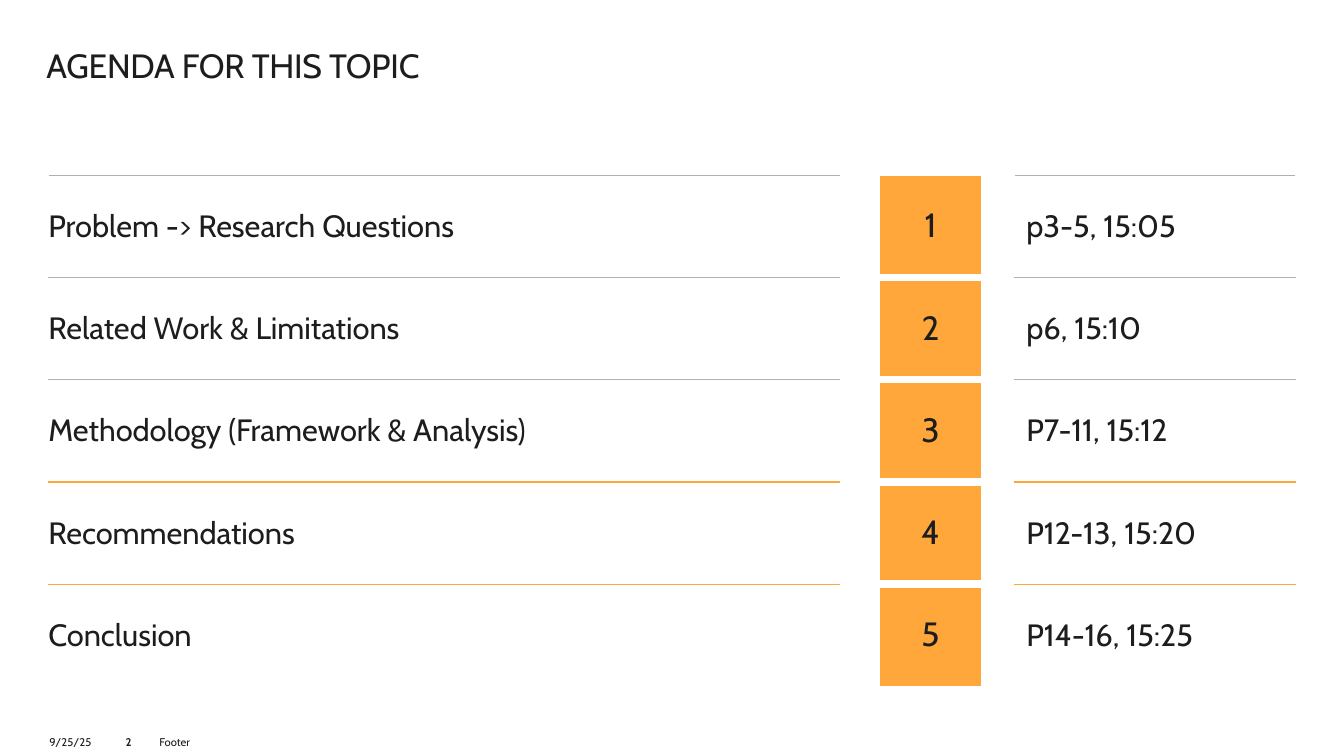
from pptx import Presentation
from pptx.dml.color import RGBColor
from pptx.enum.text import MSO_ANCHOR, PP_ALIGN
from pptx.oxml.ns import qn
from pptx.util import Inches, Pt
from lxml import etree

LEFT = PP_ALIGN.LEFT
CENTER = PP_ALIGN.CENTER
MIDDLE = MSO_ANCHOR.MIDDLE
INK = RGBColor(0x1D, 0x1D, 0x1F)
ORANGE = RGBColor(0xFF, 0xA7, 0x3A)
GRAY = RGBColor(0xB0, 0xB0, 0xB0)
WHITE = RGBColor(0xFF, 0xFF, 0xFF)
FONT = "Cabin"

WIDTHS = [7.86, 0.38, 1.02, 0.32, 2.79]
AGENDA = [
    ("Problem -> Research Questions", "p3-5, 15:05"),
    ("Related Work & Limitations", "p6, 15:10"),
    ("Methodology (Framework & Analysis)", "P7-11, 15:12"),
    ("Recommendations", "P12-13, 15:20"),
    ("Conclusion", "P14-16, 15:25"),
]
RULES = [GRAY, GRAY, GRAY, ORANGE, ORANGE, None]
GAPS = [None, WHITE, WHITE, WHITE, WHITE, None]


def add_run(para, text, size, bold=False):
    run = para.add_run()
    run.text = text
    run.font.name = FONT
    run.font.size = Pt(size)
    run.font.bold = bold
    run.font.color.rgb = INK
    return run


def add_label(slide, box, text, size, align=LEFT, bold=False):
    label = slide.shapes.add_textbox(*[Inches(n) for n in box])
    frame = label.text_frame
    frame.word_wrap = True
    frame.margin_left = frame.margin_right = 0
    frame.margin_top = frame.margin_bottom = 0
    para = frame.paragraphs[0]
    para.alignment = align
    return para, add_run(para, text, size, bold)


def add_title(slide, text):
    para, run = add_label(slide, (0.46, 0.49, 9.28, 0.91), text, 24)
    para.line_spacing = 0.9
    run.font._element.set("spc", "-20")


def set_edge(cell, side, color, width):
    if color is None:
        return
    props = cell._tc.get_or_add_tcPr()
    line = etree.SubElement(props, qn("a:" + side), w=str(Pt(width)))
    solid = etree.SubElement(line, qn("a:solidFill"))
    etree.SubElement(solid, qn("a:srgbClr"), val=str(color))


def fill_cell(cell, text, size, insets, align, fill, edges, width):
    for side, color in zip(("lnT", "lnB"), edges):
        set_edge(cell, side, color, width)
    cell.fill.solid()
    cell.fill.fore_color.rgb = fill
    cell.vertical_anchor = MIDDLE
    left, top, right = insets
    cell.margin_left = Inches(left)
    cell.margin_top = Inches(top)
    cell.margin_right = Inches(right)
    cell.margin_bottom = Inches(0.05)
    para = cell.text_frame.paragraphs[0]
    para.alignment = align
    add_run(para, text, size)


def add_agenda(slide):
    count = len(AGENDA)
    frame = slide.shapes.add_table(
        count, len(WIDTHS), Inches(0.48), Inches(1.74), Inches(12.37), Inches(5.07))
    table = frame.table
    table.first_row = False
    table.horz_banding = False
    for column, width in zip(table.columns, WIDTHS):
        column.width = Inches(width)
    for i, (topic, time) in enumerate(AGENDA):
        table.rows[i].height = Inches(5.07 / count)
        cells = table.rows[i].cells
        rules = RULES[i:i + 2]
        fill_cell(cells[0], topic, 22, (0, 0.05, 0.1), LEFT, WHITE, rules, 1)
        fill_cell(cells[2], str(i + 1), 24, (0.1, 0.04, 0.1), CENTER, ORANGE,
                  GAPS[i:i + 2], 6)
        fill_cell(cells[4], time, 22, (0.12, 0.05, 0), LEFT, WHITE, rules, 1)
        for gap in (1, 3):
            cells[gap].fill.background()


def main():
    deck = Presentation()
    deck.slide_width = Inches(13.33)
    deck.slide_height = Inches(7.5)
    slide = deck.slides.add_slide(deck.slide_layouts[6])
    add_label(slide, (0.49, 7.29, 0.51, 0.15), "9/25/25", 8)
    add_label(slide, (1.58, 7.29, 11.45, 0.15), "Footer", 8)
    add_label(slide, (1.05, 7.29, 0.45, 0.15), "2", 8, CENTER, True)
    add_title(slide, "AGENDA FOR THIS TOPIC")
    add_agenda(slide)
    deck.save("out.pptx")


if __name__ == "__main__":
    main()
